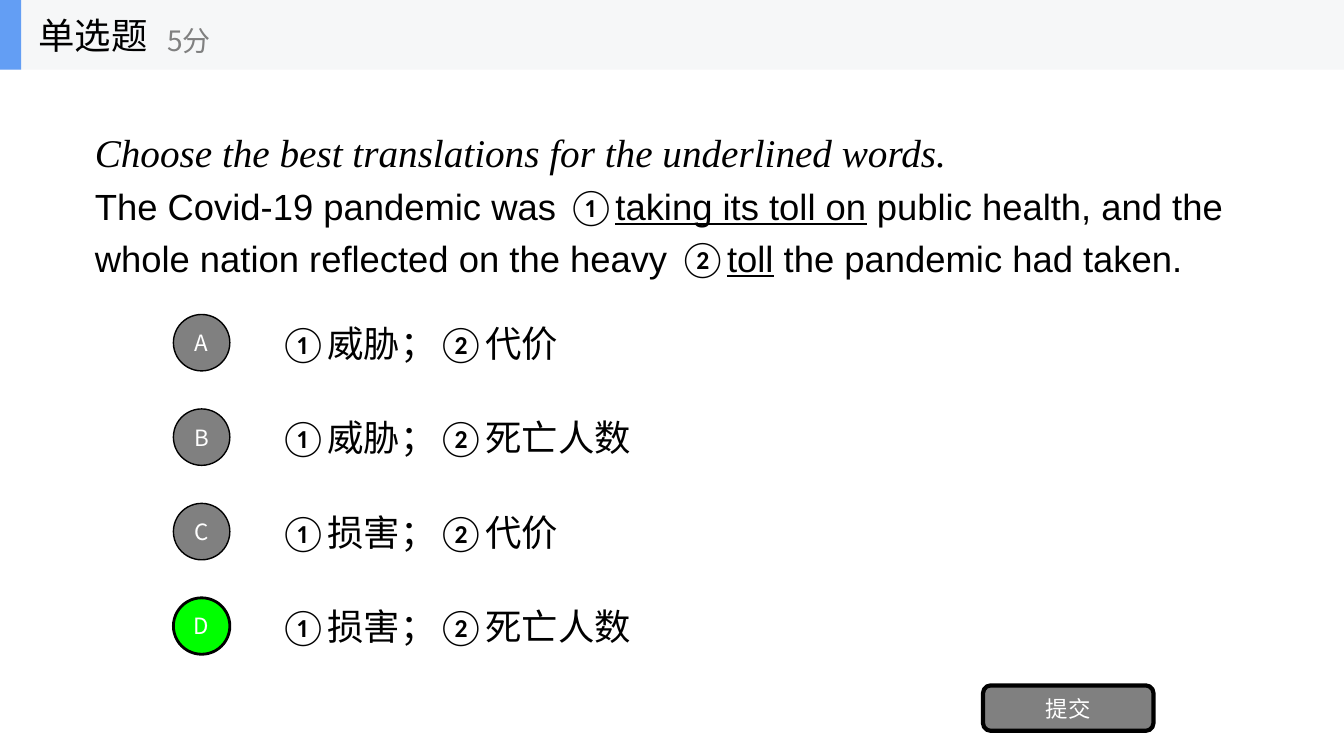
from lxml.etree import SubElement
from pptx import Presentation
from pptx.dml.color import RGBColor
from pptx.enum.shapes import MSO_SHAPE
from pptx.enum.text import MSO_ANCHOR, MSO_AUTO_SIZE, PP_ALIGN
from pptx.oxml.ns import qn
from pptx.util import Inches, Pt

BLACK = RGBColor(0x00, 0x00, 0x00)
WHITE = RGBColor(0xFF, 0xFF, 0xFF)
GRAY = RGBColor(0x80, 0x80, 0x80)
GREEN = RGBColor(0x00, 0xFF, 0x00)
BAR_COLOR = RGBColor(0xF6, 0xF7, 0xF8)
ACCENT = RGBColor(0x63, 0x9E, 0xF4)

CHINESE, LATIN, SERIF, MARKER = "Noto Sans CJK SC", "Arial", "Times New Roman", "Calibri"

QUESTION_TYPE, POINTS, SUBMIT = "单选题", "5分", "提交"
INSTRUCTION = [("Choose the best translations for the underlined words.",
                {"name": SERIF, "size": Pt(28), "italic": True})]
UNDERLINED = {"name": LATIN, "underline": True}
SENTENCE = [
    ("The Covid-19 pandemic was ", {"name": LATIN}),
    ("①", {"name": MARKER}),
    ("taking its toll on", UNDERLINED),
    (" public health, and the whole nation reflected on the heavy ", {"name": LATIN}),
    ("②", {"name": MARKER}),
    ("toll", UNDERLINED),
    (" the pandemic had taken.", {"name": LATIN}),
]
OPTIONS = {
    "A": ("威胁；", "代价"),
    "B": ("威胁；", "死亡人数"),
    "C": ("损害；", "代价"),
    "D": ("损害；", "死亡人数"),
}
CORRECT = "D"

WIDTH, HEIGHT = 13.33, 7.5
HEADER_HEIGHT = 0.69
OPTIONS_TOP, OPTION_STEP, OPTION_HEIGHT = 3.05, 0.937, 0.7
CIRCLE = 0.56


def place(shape, left, top, width, height):
    shape.left, shape.top = Inches(left), Inches(top)
    shape.width, shape.height = Inches(width), Inches(height)


def write(shape, paragraphs, color=BLACK, size=26, align=PP_ALIGN.LEFT, spacing=1.0):
    """Fill a shape with paragraphs, each a list of (text, font format) runs."""
    frame = shape.text_frame
    frame.word_wrap = True
    frame.auto_size = MSO_AUTO_SIZE.NONE
    frame.vertical_anchor = MSO_ANCHOR.MIDDLE
    for index, runs in enumerate(paragraphs):
        paragraph = frame.add_paragraph() if index else frame.paragraphs[0]
        paragraph.alignment = align
        paragraph.line_spacing = spacing
        paragraph.space_before = Pt(0)
        for text, font_format in runs:
            run = paragraph.add_run()
            run.text = text
            run.font.color.rgb = color
            for name, value in ({"size": Pt(size), "name": CHINESE} | font_format).items():
                setattr(run.font, name, value)
            east_asian = SubElement(run.font._element, qn("a:ea"))
            east_asian.set("typeface", run.font.name)


def add_text(slide, box, runs, **text_format):
    shape = slide.shapes.add_textbox(*map(Inches, box))
    write(shape, [runs], **text_format)


def add_block(slide, kind, box, fill, line_width=0, label=""):
    shape = slide.shapes.add_shape(kind, *map(Inches, box))
    shape.shadow.inherit = False
    shape.fill.solid()
    shape.fill.fore_color.rgb = fill
    if line_width:
        shape.line.color.rgb = BLACK
        shape.line.width = Pt(line_width)
    else:
        shape.line.fill.background()
    if label:
        frame = shape.text_frame
        frame.margin_left = frame.margin_right = 0
        write(shape, [[(label, {})]], color=WHITE, size=16, align=PP_ALIGN.CENTER)


def add_question(slide):
    body = slide.placeholders[1]
    place(body, 0.84, 0.9, 11.82, 2.15)
    write(body, [INSTRUCTION, SENTENCE], spacing=1.2)
    for paragraph in body.text_frame.paragraphs:
        properties = paragraph._p.get_or_add_pPr()
        properties.set("marL", "0")
        properties.set("indent", "0")
        SubElement(properties, qn("a:buNone"))


def add_options(slide):
    for row, (letter, (first, second)) in enumerate(OPTIONS.items()):
        top = OPTIONS_TOP + row * OPTION_STEP
        add_text(slide, (2.67, top, 4.28, OPTION_HEIGHT),
                 [("①", {"name": MARKER}), (first, {}), ("②", {"name": MARKER}), (second, {})])
        fill, line_width = (GREEN, 2) if letter == CORRECT else (GRAY, 1)
        circle_top = top + (OPTION_HEIGHT - CIRCLE) / 2
        add_block(slide, MSO_SHAPE.OVAL, (1.72, circle_top, CIRCLE, CIRCLE),
                  fill, line_width, letter)


def add_header(slide):
    for width, color in ((WIDTH, BAR_COLOR), (0.21, ACCENT)):
        add_block(slide, MSO_SHAPE.RECTANGLE, (0, 0, width, HEADER_HEIGHT), color)
    title = slide.shapes.title
    place(title, 0.28, 0, 2.08, HEADER_HEIGHT)
    write(title, [[(QUESTION_TYPE, {})]])
    slide.shapes._spTree.append(title._element)  # bring the title in front of the bar
    add_text(slide, (1.56, 0.12, 2.5, 0.56), [(POINTS, {})], color=GRAY, size=20)


def main():
    presentation = Presentation()
    presentation.slide_width, presentation.slide_height = Inches(WIDTH), Inches(HEIGHT)
    slide = presentation.slides.add_slide(presentation.slide_layouts[1])
    add_question(slide)
    add_options(slide)
    add_block(slide, MSO_SHAPE.ROUNDED_RECTANGLE, (9.75, 6.8, 1.69, 0.45), GRAY, 3, SUBMIT)
    add_header(slide)
    presentation.save("out.pptx")


if __name__ == "__main__":
    main()
